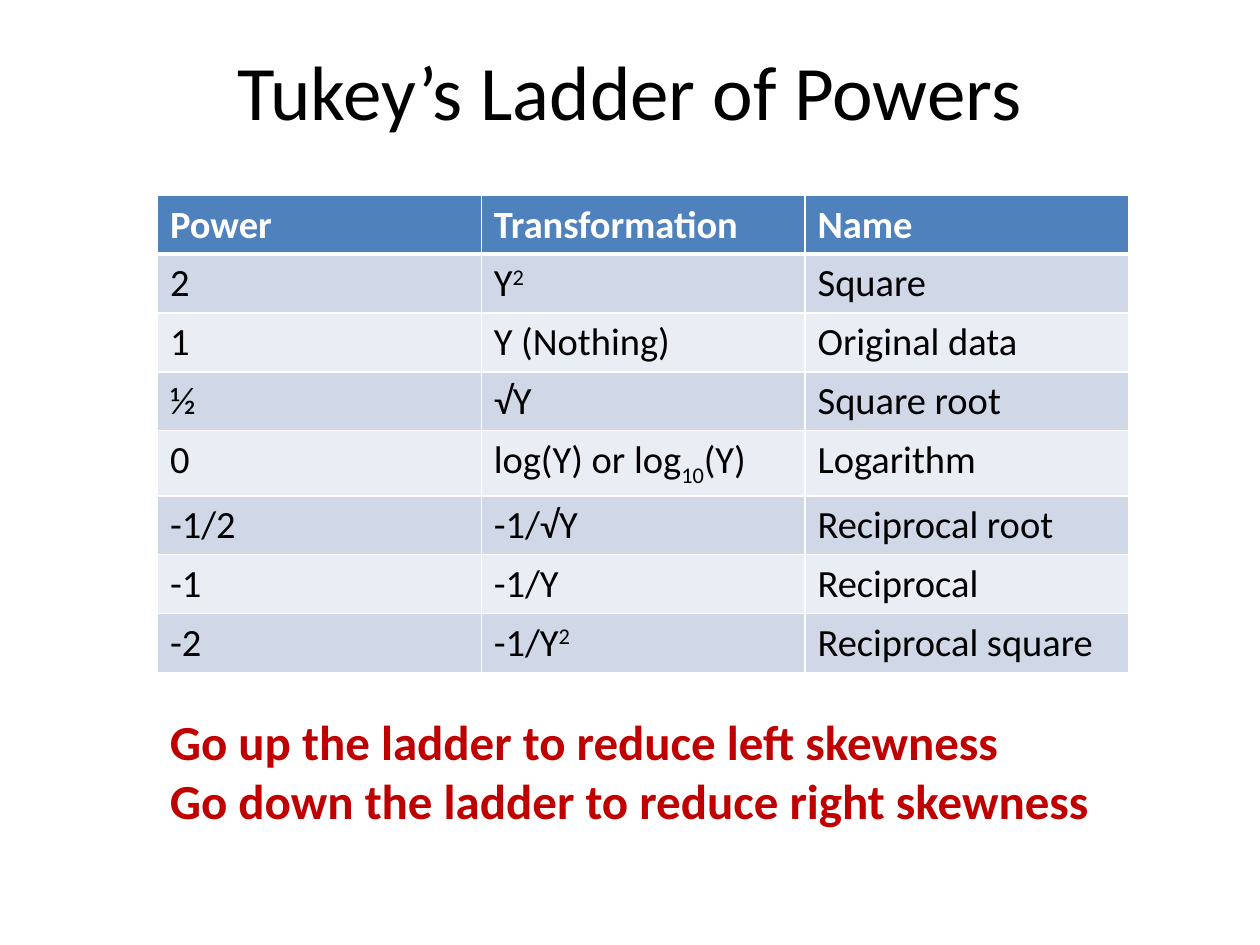
from lxml import etree
from pptx import Presentation, util as u
from pptx.dml import color
from pptx.enum import text
from pptx.oxml import ns

FONT = "Calibri"
HEADER = ["Power", "Transformation", "Name"]
LADDER = [
    ["2", [("Y", 0), ("2", 30)], "Square"],
    ["1", "Y (Nothing)", "Original data"],
    ["½", "√Y", "Square root"],
    ["0", [("log(Y) or log", 0), ("10", -25), ("(Y)", 0)], "Logarithm"],
    ["-1/2", "-1/√Y", "Reciprocal root"],
    ["-1", "-1/Y", "Reciprocal"],
    ["-2", [("-1/Y", 0), ("2", 30)], "Reciprocal square"],
]
ADVICE = [
    "Go up the ladder to reduce left skewness",
    "Go down the ladder to reduce right skewness",
]


def rgb(value):
    """Turn a hex string into a colour."""
    return color.RGBColor.from_string(value)


def add_run(p, words, size, hue, bold=False, baseline=0):
    """Add one styled run, raised or lowered by a percentage."""
    r = p.add_run()
    r.text = words
    r.font.name, r.font.size, r.font.bold = FONT, u.Pt(size), bold
    r.font.color.rgb = rgb(hue)
    if baseline:
        r.font._element.set("baseline", str(baseline * 1000))


def add_text(s, box, lines, size, hue, bold=False, align=text.PP_ALIGN.LEFT):
    """Place a wrapped text box with one paragraph per line."""
    tf = s.shapes.add_textbox(*map(u.Inches, box)).text_frame
    tf.word_wrap = True
    for i, line in enumerate(lines):
        p = tf.add_paragraph() if i else tf.paragraphs[0]
        p.alignment = align
        add_run(p, line, size, hue, bold)


def set_border(cell, side, width):
    """Draw a white line on one side of a cell."""
    tc_pr = cell._tc.get_or_add_tcPr()
    ln = etree.SubElement(tc_pr, ns.qn("a:ln" + side), w=str(u.Pt(width)))
    fill = etree.SubElement(ln, ns.qn("a:solidFill"))
    etree.SubElement(fill, ns.qn("a:srgbClr"), val="FFFFFF")


def add_ladder(s, box):
    """Place the banded table of powers in equal columns and rows."""
    rows = [HEADER] + LADDER
    frame = s.shapes.add_table(len(rows), len(HEADER), *map(u.Inches, box))
    for i, row in enumerate(rows):
        head = i == 0
        fill = "4F81BD" if head else ("E9EDF4", "D0D8E8")[i % 2]
        for j, content in enumerate(row):
            cell = frame.table.cell(i, j)
            widths = {"L": 1, "R": 1, "T": 3 if i == 1 else 1, "B": 3 if head else 1}
            for side, width in widths.items():
                set_border(cell, side, width)
            cell.fill.solid()
            cell.fill.fore_color.rgb = rgb(fill)
            parts = [(content, 0)] if isinstance(content, str) else content
            for words, baseline in parts:
                add_run(cell.text_frame.paragraphs[0], words, 22,
                        "FFFFFF" if head else "000000", head, baseline)


def main():
    """Build and save the slide."""
    prs = Presentation()
    prs.slide_width, prs.slide_height = u.Inches(10), u.Inches(7.5)
    s = prs.slides.add_slide(prs.slide_layouts[6])
    left, width = 1.25, 7.71
    add_text(s, (0.5, 0.3, 9, 1.25), ["Tukey’s Ladder of Powers"], 44, "000000",
             align=text.PP_ALIGN.CENTER)
    add_ladder(s, (left, 1.55, width, 3.28))
    add_text(s, (left, 5.6, width, 1.04), ADVICE, 28, "C00000", bold=True)
    prs.save("out.pptx")


if __name__ == "__main__":
    main()
